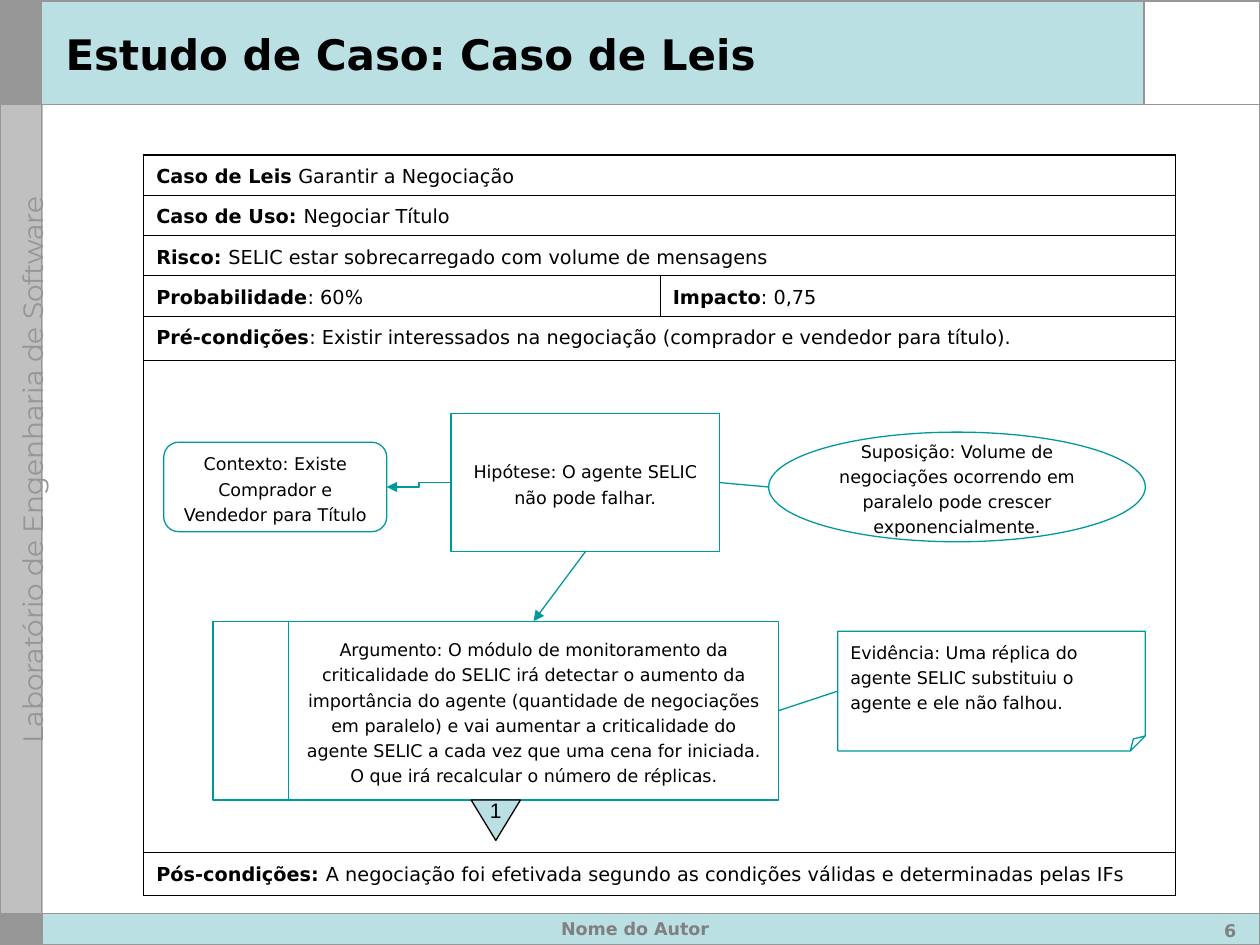
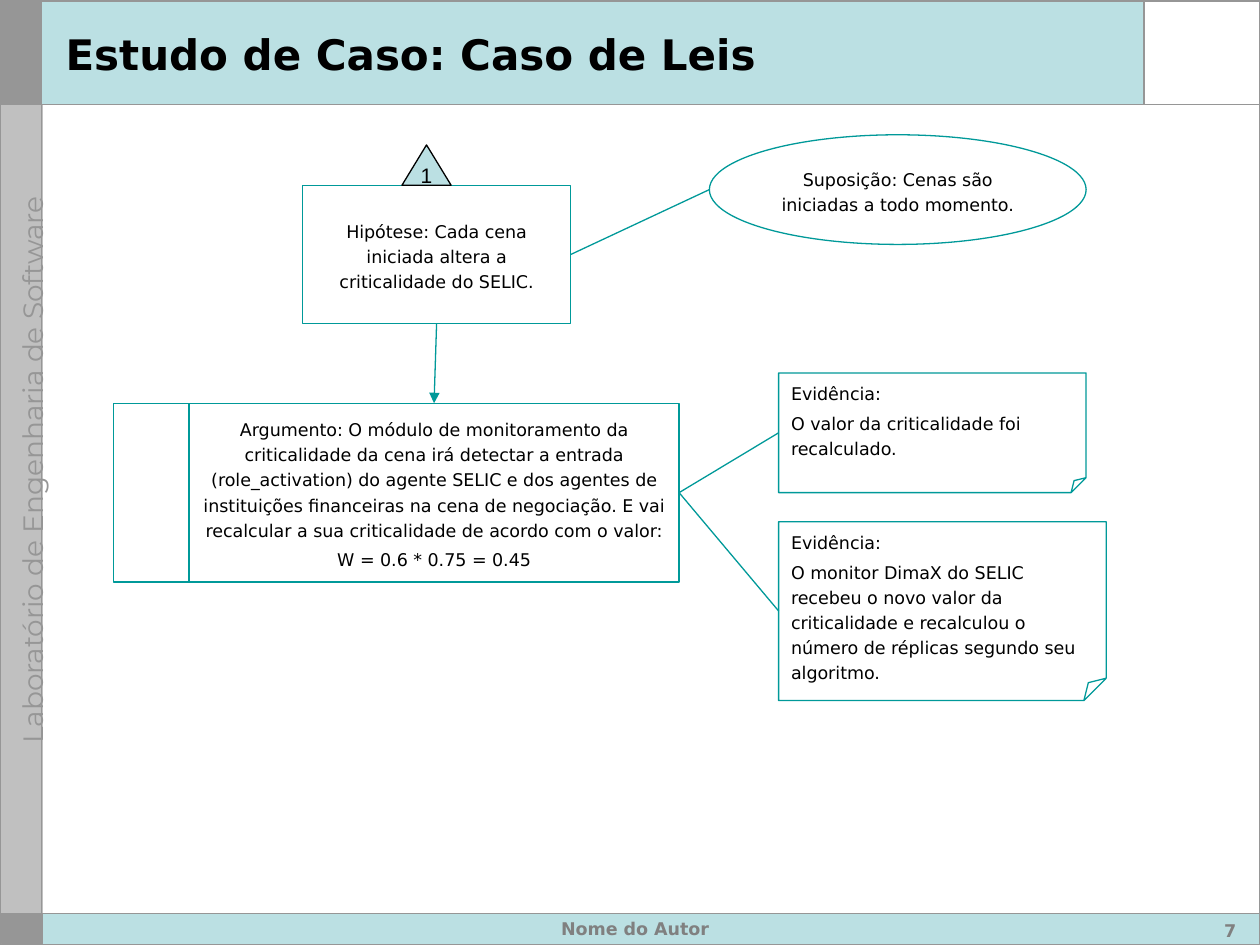
from typing import NamedTuple, Optional

from lxml.etree import SubElement
from pptx import Presentation
from pptx.dml.color import RGBColor
from pptx.enum.shapes import MSO_CONNECTOR, MSO_SHAPE
from pptx.enum.text import MSO_ANCHOR, MSO_AUTO_SIZE, PP_ALIGN
from pptx.oxml.ns import qn
from pptx.util import Inches, Pt

COLORS = {
    "black": "000000", "white": "FFFFFF", "band": "BBE0E3", "teal": "009999",
    "dark": "969696", "light": "C0C0C0", "footer": "808080",
}
TEXT_FONT = "DejaVu Sans"
TITLE = "Estudo de Caso: Caso de Leis"
NO_TABLE_STYLE = "{2D5ABB26-0587-4C30-8999-92F81FD0307C}"
TOP, LEFT, BOTTOM, RIGHT = range(4)


class Box(NamedTuple):
    left: float
    top: float
    width: float
    height: float

    def lengths(self) -> list:
        return [Inches(value) for value in self]


class Panel(NamedTuple):
    box: Box
    fill: Optional[str]
    line: Optional[str] = None
    weight: float = 0.75


class Node(NamedTuple):
    kind: MSO_SHAPE
    box: Box
    lines: tuple
    align: PP_ALIGN = PP_ALIGN.CENTER
    anchor: MSO_ANCHOR = MSO_ANCHOR.MIDDLE


PANELS = (
    Panel(Box(0.01, 0.01, 0.33, 0.83), "dark", "dark"),
    Panel(Box(0.33, 0, 9.67, 0.83), "band"),
    Panel(Box(0.01, 0.83, 0.33, 6.42), "light", "light"),
    Panel(Box(9.08, 0, 0.92, 0.83), "white"),
    Panel(Box(0.33, 7.25, 9.67, 0.25), "band"),
    Panel(Box(0.01, 7.25, 0.33, 0.24), "dark", "dark"),
    Panel(Box(0, 0.01, 10, 7.49), None, "dark", 1),
)
RULES = ((9.08, 0, 9.08, 0.83), (0, 0.83, 10, 0.83),
         (0.33, 0, 0.33, 7.5), (0, 7.25, 10, 7.25))

CASE_ROWS = (
    (0.32, (("Caso de Leis", " Garantir a Negociação"),)),
    (0.32, (("Caso de Uso: ", "Negociar Título"),)),
    (0.32, (("Risco: ", "SELIC estar sobrecarregado com volume de mensagens"),)),
    (0.32, (("Probabilidade", ": 60%"), ("Impacto", ": 0,75"))),
    (0.35, (("Pré-condições", ": Existir interessados na negociação "
             "(comprador e vendedor para título)."),)),
    (3.91, (("", ""),)),
    (0.34, (("Pós-condições: ", "A negociação foi efetivada segundo as condições "
             "válidas e determinadas pelas IFs"),)),
)


def rgb(name: str) -> RGBColor:
    return RGBColor.from_string(COLORS[name])


def format_run(run, size: float, color: str = "black", bold: bool = False,
               name: str = TEXT_FONT) -> None:
    values = {"size": Pt(size), "bold": bold, "name": name}
    for attribute, value in values.items():
        setattr(run.font, attribute, value)
    run.font.color.rgb = rgb(color)


def write(frame, lines: tuple, size: float, align=PP_ALIGN.LEFT, anchor=MSO_ANCHOR.TOP,
          wrap: bool = True, spacing: float = 1.0, gap: float = 0, **font) -> None:
    values = {"word_wrap": wrap, "auto_size": MSO_AUTO_SIZE.NONE, "vertical_anchor": anchor}
    for attribute, value in values.items():
        setattr(frame, attribute, value)
    for index, line in enumerate(lines):
        para = frame.add_paragraph() if index else frame.paragraphs[0]
        para.text = line
        para.alignment = align
        para.line_spacing = spacing
        if index:
            para.space_before = Pt(gap)
        for run in para.runs:
            format_run(run, size, **font)


def add_panel(slide, kind: MSO_SHAPE, panel: Panel):
    shape = slide.shapes.add_shape(kind, *panel.box.lengths())
    shape.shadow.inherit = False
    for fill, color in ((shape.fill, panel.fill), (shape.line.fill, panel.line)):
        if color:
            fill.solid()
            fill.fore_color.rgb = rgb(color)
        else:
            fill.background()
    if panel.line:
        shape.line.width = Pt(panel.weight)
    return shape


def add_text(slide, box: Box, text: str, size: float, **style):
    shape = slide.shapes.add_textbox(*box.lengths())
    write(shape.text_frame, (text,), size, **style)
    return shape


def add_line(slide, points: tuple, color: str, weight: float, arrow: bool = False,
             kind: MSO_CONNECTOR = MSO_CONNECTOR.STRAIGHT):
    line = slide.shapes.add_connector(kind, *(Inches(value) for value in points))
    line.line.color.rgb = rgb(color)
    line.line.width = Pt(weight)
    if arrow:
        SubElement(line.element.find(".//" + qn("a:ln")), qn("a:tailEnd"), type="triangle")
    SubElement(line.element.spPr, qn("a:effectLst"))
    return line


def side_point(box: Box, side: int) -> tuple:
    across, down = ((0.5, 0), (0, 0.5), (0.5, 1), (1, 0.5))[side]
    return box.left + across * box.width, box.top + down * box.height


def link(slide, start: tuple, end: tuple, **style) -> None:
    """Join two (shape, node, side) ends; ellipses number their sites differently."""
    points = side_point(start[1].box, start[2]) + side_point(end[1].box, end[2])
    line = add_line(slide, points, "teal", 0.75, **style)
    for connect, (shape, node, side) in ((line.begin_connect, start), (line.end_connect, end)):
        if node.kind != MSO_SHAPE.OVAL:
            connect(shape, side)


def add_node(slide, node: Node) -> tuple:
    shape = add_panel(slide, node.kind, Panel(node.box, None, "teal"))
    write(shape.text_frame, node.lines, 10, node.align, node.anchor, spacing=1.2, gap=2.5)
    for line_break in shape.element.iter(qn("a:br")):
        SubElement(line_break, qn("a:rPr"), sz="1000")
    return shape, node


def add_hypothesis(slide, left: float, top: float, text: str) -> tuple:
    return add_node(slide, Node(MSO_SHAPE.RECTANGLE, Box(left, top, 2.13, 1.1), (text,)))


def add_assumption(slide, left: float, top: float, text: str) -> tuple:
    return add_node(slide, Node(MSO_SHAPE.OVAL, Box(left, top, 2.99, 0.87), (text,)))


def add_argument(slide, left: float, top: float, *lines: str) -> tuple:
    """Text rectangle with an empty stub on its left."""
    stub_width, height = 0.6, 1.42
    add_panel(slide, MSO_SHAPE.RECTANGLE,
              Panel(Box(left - stub_width, top, stub_width, height), None, "teal"))
    return add_node(slide, Node(MSO_SHAPE.RECTANGLE, Box(left, top, 3.89, height), lines))


def add_evidence(slide, box: Box, *lines: str) -> tuple:
    shape, node = add_node(slide, Node(MSO_SHAPE.FOLDED_CORNER, box, lines,
                                       PP_ALIGN.LEFT, MSO_ANCHOR.TOP))
    adjustments = shape.element.find(".//" + qn("a:avLst"))
    SubElement(adjustments, qn("a:gd"), name="adj", fmla="val 12500")
    return shape, node


def add_marker(slide, left: float, top: float, inverted: bool = False) -> None:
    """Numbered triangle that continues the diagram on the next slide."""
    shape = add_panel(slide, MSO_SHAPE.ISOSCELES_TRIANGLE,
                      Panel(Box(left, top, 0.39, 0.32), "band", "black"))
    write(shape.text_frame, ("1",), 12, PP_ALIGN.CENTER, MSO_ANCHOR.MIDDLE,
          wrap=False, name="Arial")
    if inverted:
        shape.rotation = 180
        shape.element.find(".//" + qn("a:bodyPr")).set("rot", str(180 * 60000))


def set_borders(properties, weights: dict) -> None:
    for index, (side, weight) in enumerate(weights.items()):
        border = properties.makeelement(qn("a:ln" + side), {"w": str(int(Pt(weight)))})
        fill = SubElement(border, qn("a:solidFill"))
        SubElement(fill, qn("a:srgbClr"), val=COLORS["black"])
        properties.insert(index, border)


def add_case_table(slide) -> None:
    outer, inner = 1.08, 0.45
    last = len(CASE_ROWS) - 1
    frame = slide.shapes.add_table(len(CASE_ROWS), 2, *Box(1.14, 1.23, 8.19, 5.9).lengths())
    frame.element.find(".//" + qn("a:tableStyleId")).text = NO_TABLE_STYLE
    row_elements = frame.element.findall(".//" + qn("a:tr"))
    table = frame.table
    table.first_row = table.horz_banding = False
    for column, width in zip(table.columns, (4.1, 4.09)):
        column.width = Inches(width)
    for row, (height, entries) in enumerate(CASE_ROWS):
        table.rows[row].height = Inches(height)
        if len(entries) == 1:
            table.cell(row, 0).merge(table.cell(row, 1))
        for column, (label, value) in enumerate(entries):
            cell = table.cell(row, column)
            cell.fill.background()
            para = cell.text_frame.paragraphs[0]
            para.line_spacing = 1.2
            for text, bold in ((label, True), (value, False)):
                if text:
                    run = para.add_run()
                    run.text = text
                    format_run(run, 11, bold=bold)
            cell_element = row_elements[row].findall(qn("a:tc"))[column]
            set_borders(cell_element.find(qn("a:tcPr")), {
                "L": inner if column else outer,
                "R": outer if column == len(entries) - 1 else inner,
                "T": inner if row else outer,
                "B": outer if row == last else inner,
            })


def build_layout(deck):
    """Draw the shared frame on the layout of a first slide; return that slide."""
    layout = deck.slide_layouts[5]
    slide = deck.slides.add_slide(layout)
    for panel in PANELS:
        add_panel(slide, MSO_SHAPE.RECTANGLE, panel)
    for points in RULES:
        add_line(slide, points, "dark", 1)
    side_text = add_text(slide, Box(-1.84, 3.91, 4, 0.18), "Laboratório de Engenharia de Software",
                         16, wrap=False, name="Montserrat", color="dark")
    side_text.rotation = 270
    for shape in list(slide.shapes):
        if not shape.is_placeholder:
            layout.shapes.element.append(shape.element)
    return slide


def fill_frame(slide, number: int) -> None:
    title = slide.shapes.title
    for attribute, value in zip(("left", "top", "width", "height"),
                                Box(0.42, 0.12, 8.58, 0.62).lengths()):
        setattr(title, attribute, value)
    write(title.text_frame, (TITLE,), 24, anchor=MSO_ANCHOR.MIDDLE, bold=True)
    footer = {"size": 10, "color": "footer", "bold": True}
    add_text(slide, Box(1.83, 7.24, 6.42, 0.25), "Nome do Autor", align=PP_ALIGN.CENTER, **footer)
    add_text(slide, Box(9.08, 7.25, 0.83, 0.25), str(number), align=PP_ALIGN.RIGHT, **footer)


def build_case_slide(slide) -> None:
    fill_frame(slide, 6)
    add_case_table(slide)
    context = add_node(slide, Node(MSO_SHAPE.ROUNDED_RECTANGLE, Box(1.3, 3.51, 1.77, 0.71),
                                   ("Contexto: Existe Comprador e Vendedor para Título",)))
    hypothesis = add_hypothesis(slide, 3.58, 3.28, "Hipótese: O agente SELIC não pode falhar.")
    assumption = add_assumption(
        slide, 6.1, 3.43,
        "Suposição: Volume de negociações ocorrendo em paralelo pode crescer exponencialmente.")
    argument = add_argument(
        slide, 2.29, 4.93,
        "Argumento: O módulo de monitoramento da criticalidade do SELIC irá detectar o aumento "
        "da importância do agente (quantidade de negociações em paralelo) e vai aumentar a "
        "criticalidade do agente SELIC a cada vez que uma cena for iniciada.\n"
        "O que irá recalcular o número de réplicas.")
    evidence = add_evidence(
        slide, Box(6.65, 5.01, 2.44, 0.95),
        "Evidência: Uma réplica do agente SELIC substituiu o agente e ele não falhou.")
    link(slide, (*hypothesis, LEFT), (*context, RIGHT), arrow=True, kind=MSO_CONNECTOR.ELBOW)
    link(slide, (*assumption, LEFT), (*hypothesis, RIGHT))
    link(slide, (*evidence, LEFT), (*argument, RIGHT))
    link(slide, (*hypothesis, BOTTOM), (*argument, TOP), arrow=True)
    add_marker(slide, 3.74, 6.35, inverted=True)


def build_detail_slide(slide) -> None:
    fill_frame(slide, 7)
    hypothesis = add_hypothesis(
        slide, 2.4, 1.47, "Hipótese: Cada cena iniciada altera a criticalidade do SELIC.")
    assumption = add_assumption(
        slide, 5.63, 1.07, "Suposição: Cenas são iniciadas a todo momento.")
    argument = add_argument(
        slide, 1.5, 3.2,
        "Argumento: O módulo de monitoramento da criticalidade da cena irá detectar a entrada "
        "(role_activation) do agente SELIC e dos agentes de instituições financeiras na cena de "
        "negociação. E vai recalcular a sua criticalidade de acordo com o valor:",
        "W = 0.6 * 0.75 = 0.45")
    recalculated = add_evidence(slide, Box(6.18, 2.96, 2.44, 0.95), "Evidência:",
                                "O valor da criticalidade foi recalculado.")
    replicas = add_evidence(
        slide, Box(6.18, 4.14, 2.6, 1.42), "Evidência:",
        "O monitor DimaX do SELIC recebeu o novo valor da criticalidade e recalculou o número "
        "de réplicas segundo seu algoritmo.")
    link(slide, (*assumption, LEFT), (*hypothesis, RIGHT))
    link(slide, (*recalculated, LEFT), (*argument, RIGHT))
    link(slide, (*argument, RIGHT), (*replicas, LEFT))
    link(slide, (*hypothesis, BOTTOM), (*argument, TOP), arrow=True)
    add_marker(slide, 3.19, 1.15)


def main() -> None:
    deck = Presentation()
    deck.slide_width, deck.slide_height = Inches(10), Inches(7.5)
    case_slide = build_layout(deck)
    build_case_slide(case_slide)
    build_detail_slide(deck.slides.add_slide(case_slide.slide_layout))
    deck.save("out.pptx")


if __name__ == "__main__":
    main()
